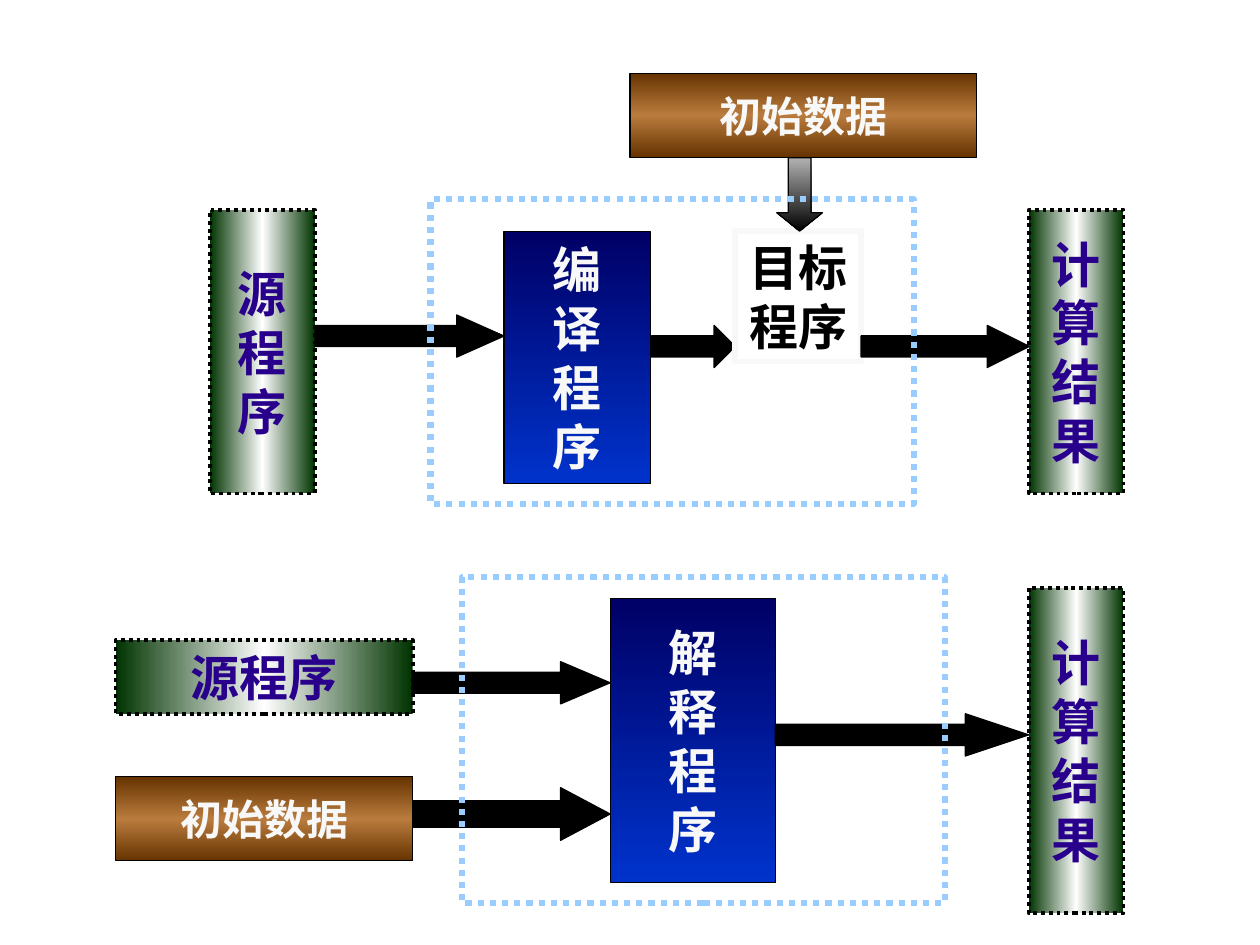
from copy import deepcopy
from dataclasses import dataclass

from pptx import Presentation
from pptx.dml.color import RGBColor
from pptx.enum.dml import MSO_LINE
from pptx.enum.shapes import MSO_SHAPE
from pptx.enum.text import MSO_ANCHOR, PP_ALIGN
from pptx.oxml.ns import qn
from pptx.util import Cm, Pt

RECT = MSO_SHAPE.RECTANGLE
PROCESS = MSO_SHAPE.FLOWCHART_PROCESS
RIGHT, DOWN = MSO_SHAPE.RIGHT_ARROW, MSO_SHAPE.DOWN_ARROW
DOTTED = MSO_LINE.ROUND_DOT
TOP, MIDDLE = MSO_ANCHOR.TOP, MSO_ANCHOR.MIDDLE
CENTER = PP_ALIGN.CENTER


@dataclass(frozen=True)
class Theme:
    latin: str = "Times New Roman"
    cjk: str = "Noto Sans CJK SC"
    large: int = 28
    small: int = 24
    black: str = "000000"
    light: str = "F8F8F8"
    violet: str = "28008C"
    frame: str = "99CCFF"
    green: tuple = ("003300", "FFFFFF", "003300")
    blue: tuple = ("000066", "0033CC")
    brown: tuple = ("663300", "BA7C3E", "663300")
    grey: tuple = ("B2B2B2", "000000")


class Diagram:
    def __init__(self, slide, theme):
        self.slide = slide
        self.theme = theme

    def shape(self, kind, box, line, width=0.75, dash=None):
        """Add an unfilled outline; box is left, top, width, height in cm."""
        sp = self.slide.shapes.add_shape(kind, *map(Cm, box))
        sp.shadow.inherit = False
        sp.fill.background()
        sp.line.color.rgb = RGBColor.from_string(line)
        sp.line.width = Pt(width)
        if dash:
            sp.line.dash_style = dash
        return sp

    def gradient(self, sp, colors, angle=270):
        """Spread the colours evenly; 270 runs downwards, 0 to the right."""
        sp.fill.gradient()
        sp.fill.gradient_angle = angle
        stops = sp._element.spPr.find(qn("a:gradFill")).find(qn("a:gsLst"))
        while len(stops) < len(colors):
            stops.append(deepcopy(stops[0]))
        for i, (stop, color) in enumerate(zip(sp.fill.gradient_stops, colors)):
            stop.position = i / (len(colors) - 1)
            stop.color.rgb = RGBColor.from_string(color)

    def text(self, sp, text, size, color, latin=None, anchor=MIDDLE, wrap=False):
        tf = sp.text_frame
        tf.text = text
        tf.word_wrap = wrap
        tf.vertical_anchor = anchor
        for p in tf.paragraphs:
            p.alignment = CENTER
            for r in p.runs:
                r.font.size = Pt(size)
                r.font.bold = True
                r.font.color.rgb = RGBColor.from_string(color)
                r.font.name = latin or self.theme.latin
                ea = r.font._element.makeelement(qn("a:ea"), {"typeface": self.theme.cjk})
                r.font._element.find(qn("a:latin")).addnext(ea)

    def end_box(self, box, text):
        """Green box for the program that goes in or the result that comes out."""
        t = self.theme
        sp = self.shape(RECT, box, t.black, 2.25, DOTTED)
        self.gradient(sp, t.green, 0)
        self.text(sp, text, t.large, t.violet)

    def translator(self, box, text, latin=None):
        t = self.theme
        sp = self.shape(RECT, box, t.black)
        self.gradient(sp, t.blue)
        self.text(sp, "\n".join(text), t.large, t.light, latin)

    def data(self, box, text):
        t = self.theme
        sp = self.shape(PROCESS, box, t.black)
        self.gradient(sp, t.brown)
        self.text(sp, text, t.small, t.light)

    def target(self, box, text):
        t = self.theme
        sp = self.shape(RECT, box, t.light, 3)
        self.text(sp, text, t.large, t.black, t.cjk, TOP, True)

    def arrow(self, box, kind=RIGHT):
        """Block arrow whose head takes a quarter of its length."""
        sp = self.shape(kind, box, self.theme.black)
        sp.adjustments[0] = 0.5
        sp.adjustments[1] = max(box[2:]) / 4 / min(box[2:])
        if kind == DOWN:
            self.gradient(sp, self.theme.grey)
        else:
            sp.fill.solid()
            sp.fill.fore_color.rgb = RGBColor.from_string(self.theme.black)

    def frame(self, box):
        self.shape(RECT, box, self.theme.frame, 3.5, DOTTED)


def draw_compiling(d):
    d.arrow((13.13, 6.56, 1.69, 0.85))
    d.target((14.82, 4.66, 2.54, 2.63), "目标程序")
    d.end_box((4.23, 4.23, 2.12, 5.72), "\n".join("源程序"))
    d.translator((10.16, 4.67, 2.96, 5.08), "编译程序", d.theme.cjk)
    d.arrow((6.35, 6.35, 3.81, 0.85))
    d.arrow((17.36, 6.56, 3.39, 0.85))
    d.arrow((15.66, 3.18, 0.92, 1.48), DOWN)
    d.data((12.7, 1.48, 6.99, 1.69), "初始数据")
    d.end_box((20.74, 4.23, 1.91, 5.72), "\n".join("计算结果"))
    d.frame((8.68, 4.02, 9.74, 6.14))


def draw_interpreting(d):
    d.end_box((2.33, 12.91, 5.99, 1.48), "源程序")
    d.translator((12.31, 12.07, 3.32, 5.72), "解释程序")
    d.arrow((15.63, 14.39, 5.11, 0.85))
    d.arrow((8.31, 15.88, 3.99, 1.06))
    d.arrow((8.31, 13.34, 3.99, 0.85))
    d.data((2.33, 15.66, 5.99, 1.69), "初始数据")
    d.end_box((20.74, 11.85, 1.91, 6.56), "\n".join("计算结果"))
    d.frame((9.31, 11.64, 9.74, 6.56))


def main():
    prs = Presentation()
    prs.slide_width, prs.slide_height = Cm(25.4), Cm(19.05)
    d = Diagram(prs.slides.add_slide(prs.slide_layouts[6]), Theme())
    draw_compiling(d)
    draw_interpreting(d)
    prs.save("out.pptx")


if __name__ == "__main__":
    main()
